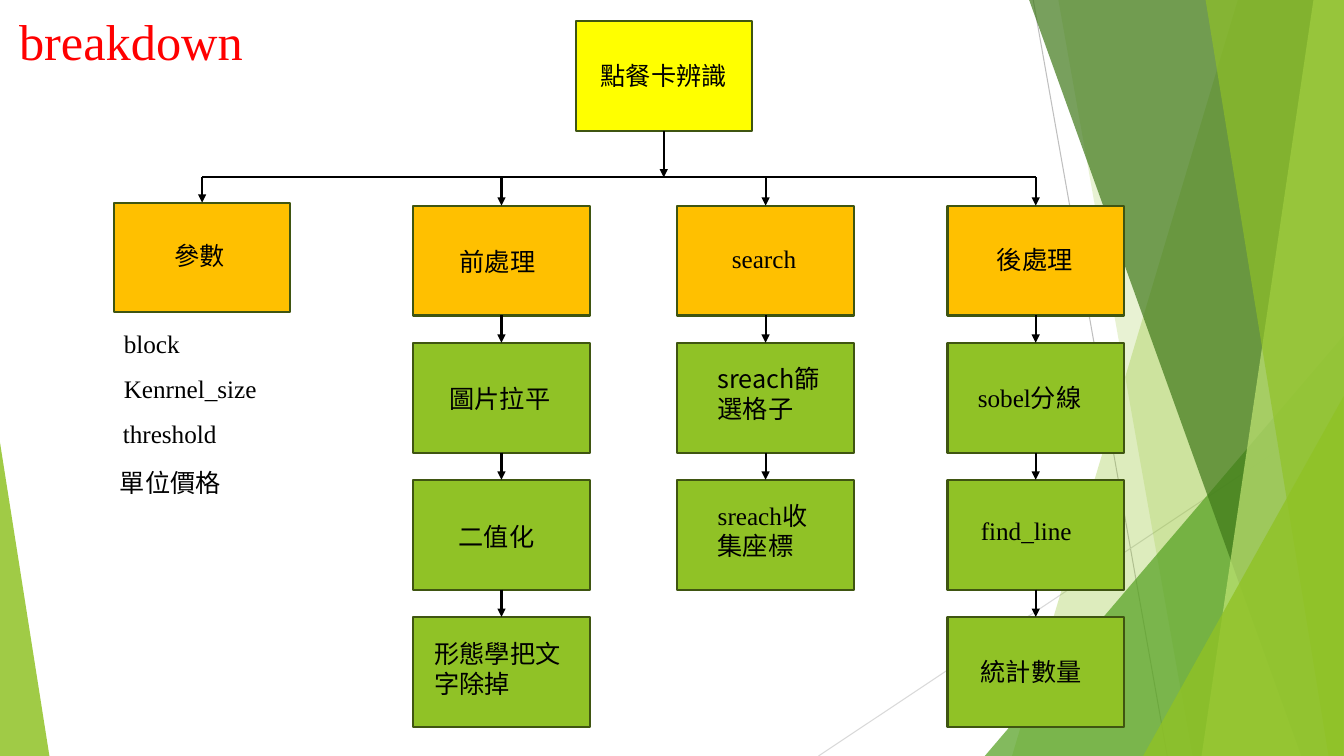
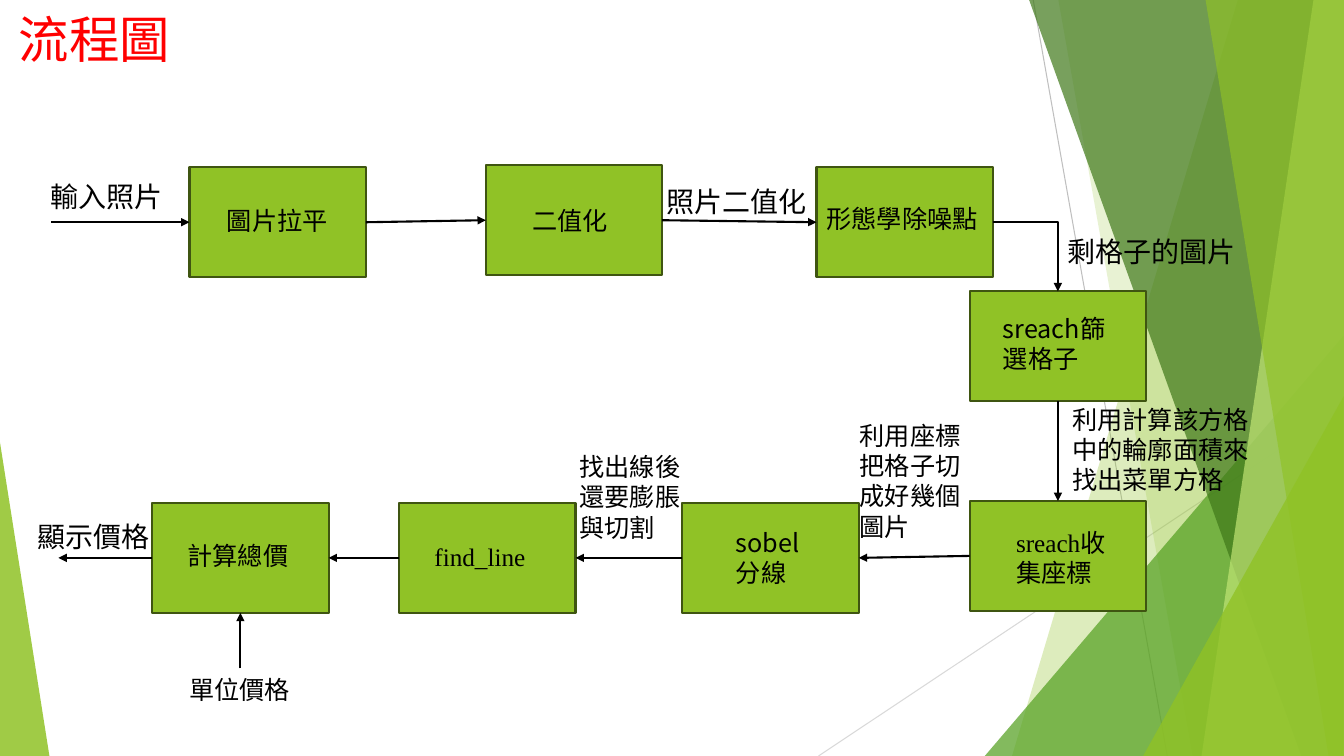
"""Builds a breakdown tree and a flow chart on a grid of tenth-inch cells."""
from dataclasses import dataclass
from itertools import pairwise

from lxml.etree import SubElement
from pptx import Presentation
from pptx.dml.color import RGBColor
from pptx.enum.shapes import MSO_CONNECTOR, MSO_SHAPE
from pptx.enum.text import MSO_ANCHOR, PP_ALIGN
from pptx.oxml.ns import qn
from pptx.util import Inches, Pt


@dataclass(frozen=True)
class Theme:
    black: str = "000000"
    red: str = "FF0000"
    yellow: str = "FFFF00"
    orange: str = "FFC000"
    green: str = "90C226"
    leaf: str = "54A021"
    moss: str = "3F7819"
    lime: str = "C0E474"
    edge: str = "3F5511"
    gray: str = "BFBFBF"
    pale: str = "D9D9D9"
    sans: str = "Noto Sans CJK SC"
    serif: str = "Times New Roman"
    head: int = 36
    note: int = 20
    body: int = 18
    rule: float = 1.5
    hair: float = 0.75


look = Theme()
CELL = Inches(0.1)
COLS, ROWS = 133.33, 75
BOX_W, BOX_H = 17.5, 10.9
MID_X, MID_Y = BOX_W / 2, BOX_H / 2


def put(page, text, x, y, w, h, pad=(1, 0.5, 1), face=look.sans,
        size=look.body, ink=look.black, fill=None, align=PP_ALIGN.LEFT,
        anchor=MSO_ANCHOR.TOP):
    area = [round(n * CELL) for n in (x, y, w, h)]
    if fill:
        shape = page.shapes.add_shape(MSO_SHAPE.RECTANGLE, *area)
        shape.shadow.inherit = False
        shape.fill.solid()
        shape.fill.fore_color.rgb = RGBColor.from_string(fill)
        shape.line.color.rgb = RGBColor.from_string(look.edge)
        shape.line.width = Pt(look.rule)
    else:
        shape = page.shapes.add_textbox(*area)
    left, top, right = [round(n * CELL) for n in pad]
    frame = shape.text_frame
    style = {"word_wrap": True, "vertical_anchor": anchor, "margin_left": left,
             "margin_top": top, "margin_right": right,
             "margin_bottom": CELL // 2}
    for key, val in style.items():
        setattr(frame, key, val)
    para = frame.paragraphs[0]
    para.alignment = align
    run = para.add_run()
    run.text = text
    for key, val in {"name": face, "size": Pt(size)}.items():
        setattr(run.font, key, val)
    run.font.color.rgb = RGBColor.from_string(ink)
    SubElement(run.font._element, qn("a:ea"), typeface=look.sans)


def link(page, x1, y1, x2, y2, ink=look.black, width=look.rule, tip=True):
    ends = [round(n * CELL) for n in (x1, y1, x2, y2)]
    line = page.shapes.add_connector(MSO_CONNECTOR.STRAIGHT, *ends)
    line.line.color.rgb = RGBColor.from_string(ink)
    line.line.width = Pt(width)
    if tip:
        SubElement(line.line._ln, qn("a:tailEnd"), type="triangle")
    SubElement(line._element.spPr, qn("a:effectLst"))
    return line


deck = Presentation()
deck.slide_width, deck.slide_height = round(COLS * CELL), ROWS * CELL
blank = deck.slide_layouts[6]
for hold in list(blank.placeholders):
    hold._element.getparent().remove(hold._element)
tree, flow = [deck.slides.add_slide(blank) for _ in range(2)]

link(tree, 102.5, 0, 115.8, ROWS, look.gray, look.hair, False)
link(tree, COLS, 40.3, 81.2, ROWS, look.pale, look.hair, False)
facets = [
    (look.green, 30, (122.8, 100.4)),
    (look.green, 20, (105, 118.3)),
    (look.leaf, 72, (97.7, 33.3, 35.6, 1)),
    (look.moss, 70, (102.1, 129.1)),
    (look.lime, 70, (130.3, 119.2)),
    (look.green, 65, (119.6, 131.8)),
    (look.green, 80, (113.4, 39.3, 19.9, 1)),
    (look.green, 85, (0, 43.9, 4.9, 0)),
]
for ink, alpha, form in facets:
    if len(form) == 2:
        top, foot = form
        rim = [(COLS, 0), (COLS, ROWS), (foot, ROWS)]
        pen = tree.shapes.build_freeform(round(top * CELL), 0)
        pen.add_line_segments([(round(x * CELL), y * CELL) for x, y in rim])
        shape = pen.convert_to_shape()
    else:
        x, y, w, apex = form
        area = [round(n * CELL) for n in (x, y, w, ROWS - y)]
        shape = tree.shapes.add_shape(MSO_SHAPE.ISOSCELES_TRIANGLE, *area)
        shape.adjustments[0] = apex
    shape.shadow.inherit = False
    shape.line.fill.background()
    shape.fill.solid()
    shape.fill.fore_color.rgb = RGBColor.from_string(ink)
    tone = shape._element.spPr.find(".//" + qn("a:srgbClr"))
    SubElement(tone, qn("a:alpha"), val=str(alpha * 1000))
for part in [shape._element for shape in tree.shapes]:
    blank.shapes._spTree.append(part)

heads = [(tree, "breakdown", 26, 7.9, look.serif),
         (flow, "流程圖", 18.7, 7.6, look.sans)]
for page, text, w, h, face in heads:
    put(page, text, 0, 0, w, h, face=face, size=look.head, ink=look.red,
        align=PP_ALIGN.CENTER, anchor=MSO_ANCHOR.MIDDLE)

BUS, TOP, STEP = 17.6, 20.4, 13.6
root = 57.1
put(tree, "點餐卡辨識", root, 2.1, BOX_W, BOX_H, (1, 3.9, 1),
    fill=look.yellow, align=PP_ALIGN.CENTER)
link(tree, root + MID_X, 2.1 + BOX_H, root + MID_X, BUS)
stacks = [
    (11.3, 20.1, [("參數", (6, 3.7, 1), look.sans)]),
    (41, TOP, [("前處理", (4.6, 4, 1), look.sans),
               ("圖片拉平", (3.6, 4, 1), look.sans),
               ("二值化", (4.5, 4.1, 1), look.sans),
               ("形態學把文字除掉", (2.1, 2.1, 2.1), look.sans)]),
    (67.2, TOP, [("search", (5.4, 3.7, 1), look.serif),
                 ("sreach篩選格子", (4, 2, 2.6), look.sans),
                 ("sreach收集座標", (4, 2, 2.6), look.serif)]),
    (94, TOP, [("後處理", (4.9, 3.8, 1), look.sans),
               ("sobel分線", (3, 3.9, 1), look.serif),
               ("find_line", (3.3, 3.5, 1), look.serif),
               ("統計數量", (3.3, 3.9, 1), look.sans)]),
]
link(tree, stacks[0][0] + MID_X, BUS, stacks[-1][0] + MID_X, BUS, tip=False)
for x, top, items in stacks:
    start = BUS
    for row, (text, pad, face) in enumerate(items):
        y = top + row * STEP
        put(tree, text, x, y, BOX_W, BOX_H, pad, face,
            fill=look.green if row else look.orange)
        link(tree, x + MID_X, start, x + MID_X, y)
        start = y + BOX_H
names = [("block", 11.3, 32.1, look.serif),
         ("Kenrnel_size", 11.3, 36.5, look.serif),
         ("threshold", 11.2, 41, look.serif),
         ("單位價格", 10.9, 45.9, look.sans)]
for text, x, y, face in names:
    put(tree, text, x, y, 15.5, 4, face=face)

steps = [
    ("圖片拉平", 18.8, 16.6, (3.7, 3.8, 1), look.sans),
    ("二值化", 48.2, 16.4, (4.6, 4, 1), look.sans),
    ("形態學除噪點", 81, 16.6, (1, 3.6, 1), look.sans),
    ("sreach篩選格子", 96.2, 28.9, (3.3, 2.2, 3.3), look.sans),
    ("sreach收集座標", 96.2, 49.7, (4.6, 2.6, 2.1), look.serif),
    ("sobel分線", 67.7, 49.9, (5.3, 2.4, 4.2), look.sans),
    ("find_line", 39.6, 49.9, (3.5, 3.8, 1), look.serif),
    ("計算總價", 15.1, 49.9, (3.5, 3.7, 1), look.sans),
]
for text, x, y, pad, face in steps:
    put(flow, text, x, y, BOX_W, BOX_H, pad, face, fill=look.green)
spots = [(x, y) for _, x, y, _, _ in steps]
for (x1, y1), (x2, y2) in [*pairwise(spots[:3]), *pairwise(spots[4:])]:
    if x1 < x2:
        x1 += BOX_W
    else:
        x2 += BOX_W
    link(flow, x1, y1 + MID_Y, x2, y2 + MID_Y)
down = 96.2 + MID_X
bend = link(flow, 81 + BOX_W, 16.6 + MID_Y, down, 28.9)
bend._element.spPr.prstGeom.set("prst", "bentConnector2")
link(flow, down, 28.9 + BOX_H, down, 49.7)
link(flow, 5.1, 16.6 + MID_Y, 18.8, 16.6 + MID_Y)
link(flow, 15.1, 49.9 + MID_Y, 5.8, 49.9 + MID_Y)
link(flow, 15.1 + MID_X, 66.3, 15.1 + MID_X, 49.9 + BOX_H)

notes = [
    ("輸入照片", 4, 17.3, 14.6, 4.4, look.note),
    ("照片二值化", 65.1, 17.8, 16.5, 4.4, look.note),
    ("剩格子的圖片", 104.9, 22.8, 20.3, 4.4, look.note),
    ("顯示價格", 2.7, 51, 15.8, 4.4, look.note),
    ("利用計算該方格中的輪廓面積來找出菜單方格", 105.4, 39.6, 19.8, 10.1, look.body),
    ("利用座標把格子切成好幾個圖片", 84.3, 41.2, 13.7, 13.1, look.body),
    ("找出線後還要膨脹與切割", 56.5, 44.3, 12.1, 10.1, look.body),
    ("單位價格", 17.8, 66.4, 12.1, 4, look.body),
]
for text, x, y, w, h, size in notes:
    put(flow, text, x, y, w, h, size=size)

deck.save("out.pptx")
